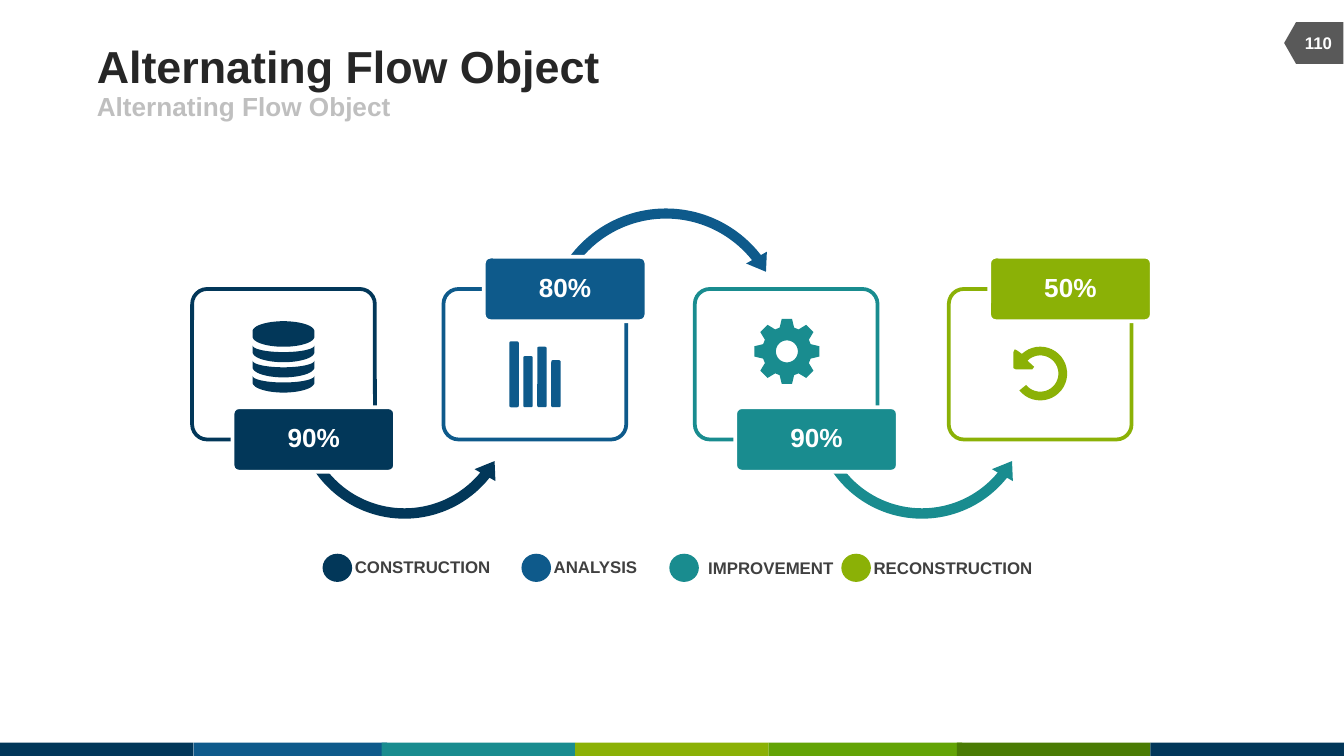
import math
import pptx
import pptx.util
import pptx.dml.color
import pptx.enum.shapes
import pptx.enum.text

RGB = pptx.dml.color.RGBColor
KIND = pptx.enum.shapes.MSO_SHAPE
ALIGN = pptx.enum.text.PP_ALIGN
ANCHOR = pptx.enum.text.MSO_ANCHOR

NAVY = RGB(0x02, 0x37, 0x59)
BLUE = RGB(0x0E, 0x5A, 0x8B)
TEAL = RGB(0x19, 0x8C, 0x8F)
LIME = RGB(0x8B, 0xB1, 0x06)
GREEN = RGB(0x63, 0xA4, 0x06)
MOSS = RGB(0x4A, 0x7B, 0x04)
WHITE = RGB(0xFF, 0xFF, 0xFF)
BLACK = RGB(0x26, 0x26, 0x26)
DARK = RGB(0x40, 0x40, 0x40)
GRAY = RGB(0x59, 0x59, 0x59)
PALE = RGB(0xBF, 0xBF, 0xBF)

WIDTH = pptx.util.Inches(10)
HEIGHT = WIDTH * 9 // 16
COLS = 100
CELL = WIDTH / COLS
ROWS = HEIGHT / CELL

STEPS = [
    ("90%", NAVY, 14.3),
    ("80%", BLUE, 33),
    ("90%", TEAL, 51.7),
    ("50%", LIME, 70.6),
]
UNDER = [0.045, 5.658, 23.414, 90.245, 0.052]
OVER = [0.04, 5.09, 193.155, 125.755, 0.047]
ARROWS = [
    (KIND.LEFT_CIRCULAR_ARROW, (21.5, 21.9, 17.2, 17.2), NAVY, UNDER),
    (KIND.CIRCULAR_ARROW, (40.1, 15, 18.9, 18.9), BLUE, OVER),
    (KIND.LEFT_CIRCULAR_ARROW, (60, 21.9, 17.2, 17.2), TEAL, UNDER),
]
LEGEND = [
    ("CONSTRUCTION", NAVY, 24, (26.4, 41.4, 10.2, 1.5)),
    ("ANALYSIS", BLUE, 38.8, (41.2, 41.4, 6.4, 1.5)),
    ("IMPROVEMENT", TEAL, 49.8, (52.7, 41.5, 9.4, 1.5)),
    ("RECONSTRUCTION", LIME, 62.6, (65, 41.5, 11.9, 1.5)),
]
STRIPES = [(0, NAVY), (14.4, BLUE), (28.4, TEAL), (42.8, LIME),
           (57.2, GREEN), (71.2, MOSS), (85.6, NAVY)]


def grid(*cells):
    return [round(cell * CELL) for cell in cells]


def write(frame, text, size=9, color=DARK, align=ALIGN.LEFT,
          anchor=ANCHOR.MIDDLE, wrap=True, line=1.0):
    frame.auto_size = pptx.enum.text.MSO_AUTO_SIZE.NONE
    frame.word_wrap = wrap
    frame.vertical_anchor = anchor
    frame.margin_left = frame.margin_right = 0
    frame.margin_top = frame.margin_bottom = 0
    para = frame.paragraphs[0]
    para.text = text
    para.alignment = align
    para.line_spacing = line
    para.space_before = pptx.util.Pt(0)
    para.font.name = "Arial"
    para.font.size = pptx.util.Pt(size)
    para.font.bold = True
    para.font.color.rgb = color
    return para


def paint(shape, fill=None, edge=None):
    shape.shadow.inherit = False
    if fill is None:
        shape.fill.background()
    else:
        shape.fill.solid()
        shape.fill.fore_color.rgb = fill
    if edge is None:
        shape.line.fill.background()
    else:
        shape.line.color.rgb = edge
        shape.line.width = pptx.util.Pt(2)


def block(slide, kind, box, fill=None, edge=None, adjust=()):
    shape = slide.shapes.add_shape(kind, *grid(*box))
    for i, value in enumerate(adjust):
        shape.adjustments[i] = value
    paint(shape, fill, edge)
    return shape


def label(slide, box, text, **format):
    write(slide.shapes.add_textbox(*grid(*box)).text_frame, text, **format)


def holder(shape, box, text, **format):
    shape.left, shape.top, shape.width, shape.height = grid(*box)
    return write(shape.text_frame, text, **format)


def arc(x, y, wide, high, start, end, count=32):
    angles = [math.radians(start + (end - start) * i / count)
              for i in range(count + 1)]
    return [(x + wide * math.cos(a), y + high * math.sin(a)) for a in angles]


def outline(slide, loops, fill):
    loops = [[grid(*point) for point in loop] for loop in loops]
    pen = slide.shapes.build_freeform(*loops[0][0])
    for i, loop in enumerate(loops):
        if i:
            pen.move_to(*loop[0])
        pen.add_line_segments(loop[1:], close=True)
    paint(pen.convert_to_shape(), fill)


def stack(slide, x=21.1):
    loops = [arc(x, 24.65, 2.3, 0.75, 180, 360)
             + arc(x, 25.05, 2.3, 0.75, 0, 180)]
    for i in range(3):
        drop = 1.13 * i
        loops.append(arc(x, 25.7 + drop, 2.3, 0.5, 180, 0)
                     + arc(x, 26.2 + drop, 2.3, 0.75, 0, 180))
    outline(slide, loops, NAVY)


def bars(slide, base=30.3):
    for i, high in enumerate((4.9, 3.8, 4.5, 3.5)):
        block(slide, KIND.ROUNDED_RECTANGLE,
              (37.9 + 1.04 * i, base - high, 0.7, high), BLUE)


def gear(slide, x=58.55, y=26.15, teeth=8):
    rim = []
    for i in range(teeth):
        for turn, reach in ((-17, 1.85), (-9, 2.45), (9, 2.45), (17, 1.85)):
            angle = math.radians(360 * i / teeth + turn)
            rim.append((x + reach * math.cos(angle),
                        y + reach * math.sin(angle)))
    outline(slide, [rim, arc(x, y, 0.82, 0.82, 360, 0)], TEAL)


def undo(slide, x=77.4, y=27.8):
    head = [(75.7, 26.1), (75.5, 26), (75.4, 26.2), (75.4, 27.4),
            (75.6, 27.5), (76.8, 27.5), (76.95, 27.3)]
    ring = arc(x, y, 2, 2, 141, -133) + head
    outline(slide, [ring + arc(x, y, 1.35, 1.35, -135, 141)], LIME)


def flow(slide):
    for kind, box, color, adjust in ARROWS:
        block(slide, kind, box, color, adjust=adjust)
    for i, (text, color, left) in enumerate(STEPS):
        block(slide, KIND.ROUNDED_RECTANGLE, (left, 21.5, 13.6, 11.2),
              edge=color, adjust=[0.1])
        top = 19.1 if i % 2 else 30.3
        tag = block(slide, KIND.ROUNDED_RECTANGLE,
                    (left + 3, top, 12.1, 4.8), color, WHITE, [0.1])
        write(tag.text_frame, text, size=14, color=WHITE,
              align=ALIGN.CENTER, line=0.9)


def legend(slide):
    for text, color, left, box in LEGEND:
        block(slide, KIND.OVAL, (left, 41.2, 2.2, 2.1), color)
        label(slide, box, text, anchor=ANCHOR.TOP, wrap=False)


def footer(slide):
    for left, color in STRIPES:
        block(slide, KIND.RECTANGLE, (left, ROWS - 1, 14.4, 1), color)


def header(slide):
    title, body = slide.placeholders
    holder(title, (7.2, 2.9, 61.7, 3.9), "Alternating Flow Object",
           size=24, color=BLACK)
    para = holder(body, (7.2, 6.8, 45, 2.2), "Alternating Flow Object",
                  size=14, color=PALE)
    props = para._p.get_or_add_pPr()
    props.set("marL", "0")
    props.set("indent", "0")
    bullet = pptx.oxml.parse_xml(
        '<a:buNone xmlns:a="http://schemas.openxmlformats.org/'
        'drawingml/2006/main"/>')
    props.insert_element_before(bullet, "a:tabLst", "a:defRPr", "a:extLst")
    badge = block(slide, KIND.FLOWCHART_OFFPAGE_CONNECTOR,
                  (96.2, 1, 3.1, 4.4), GRAY)
    badge.rotation = 90
    label(slide, (96, 1.7, 4.2, 3), "110", color=WHITE, align=ALIGN.CENTER)


def main():
    deck = pptx.Presentation()
    deck.slide_width, deck.slide_height = WIDTH, HEIGHT
    slide = deck.slides.add_slide(deck.slide_layouts[1])
    footer(slide)
    header(slide)
    legend(slide)
    flow(slide)
    for icon in (stack, bars, gear, undo):
        icon(slide)
    deck.save("out.pptx")


if __name__ == "__main__":
    main()
